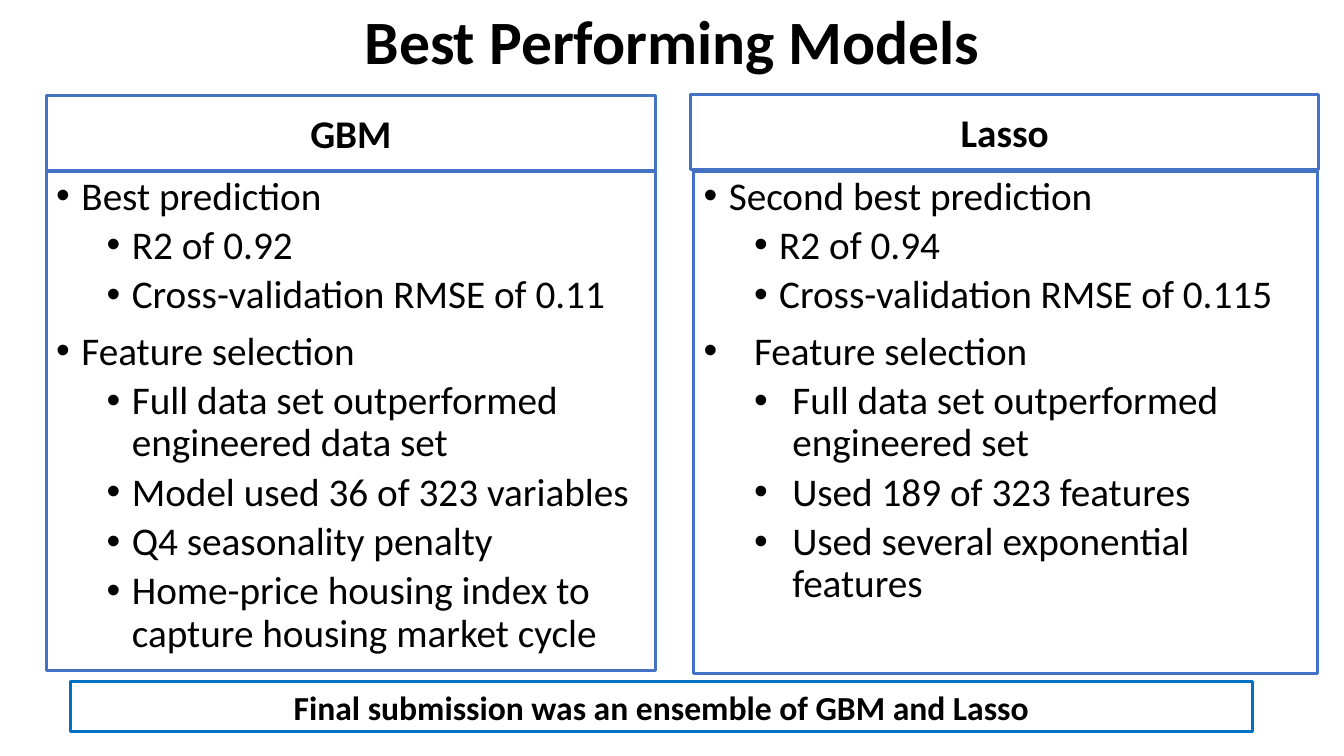
"""Build the Best Performing Models slide comparing GBM and Lasso."""
import pptx
import pptx.dml.color
import pptx.enum.shapes
import pptx.enum.text
import pptx.oxml.ns
import pptx.util
from lxml import etree

Inches, Pt = pptx.util.Inches, pptx.util.Pt
ALIGN, ANCHOR = pptx.enum.text.PP_ALIGN, pptx.enum.text.MSO_ANCHOR

THEME = {
    "font": "Calibri", "text": "000000", "panel": "4472C4", "summary": "0070C0",
    "title_size": 44, "body_size": 28, "summary_size": 24,
    "panel_line": 2, "summary_line": 2.25,
}
TITLE = ("Best Performing Models", (0.92, -0.28, 11.5, 1.45))
SUMMARY = ("Final submission was an ensemble of GBM and Lasso", (0.7, 6.76, 11.72, 0.5))
NARROW = [(0.25, 0.25), (0.75, 0.25)]
WIDE = [(0.5, 0.5), (0.88, 0.38)]
MODELS = [
    {
        "name": "GBM", "header": (0.46, 0.95, 6.04, 0.74), "body": (0.46, 1.7, 6.04, 4.95),
        "topics": [
            ("Best prediction", NARROW, ["R2 of 0.92", "Cross-validation RMSE of 0.11"]),
            ("Feature selection", NARROW, [
                "Full data set outperformed engineered data set",
                "Model used 36 of 323 variables",
                "Q4 seasonality penalty",
                "Home-price housing index to capture housing market cycle",
            ]),
        ],
    },
    {
        "name": "Lasso", "header": (6.85, 0.94, 6.23, 0.74), "body": (6.88, 1.7, 6.19, 4.98),
        "topics": [
            ("Second best prediction", NARROW, ["R2 of 0.94", "Cross-validation RMSE of 0.115"]),
            ("Feature selection", WIDE, [
                "Full data set outperformed engineered set",
                "Used 189 of 323 features",
                "Used several exponential features",
            ]),
        ],
    },
]


def apply(target, values):
    for name, value in values.items():
        setattr(target, name, value)


def color(name):
    return pptx.dml.color.RGBColor.from_string(THEME[name])


def write(paragraph, text, size, bold=False, **layout):
    run = paragraph.add_run()
    run.text = text
    apply(run.font, {"name": THEME["font"], "size": Pt(THEME[size]), "bold": bold})
    run.font.color.rgb = color("text")
    apply(paragraph, layout)


def add_frame(slide, place, style, anchor):
    frame = slide.shapes.add_shape(
        pptx.enum.shapes.MSO_SHAPE.RECTANGLE, *map(Inches, place))
    frame.shadow.inherit = False
    frame.fill.background()
    frame.line.color.rgb = color(style)
    frame.line.width = Pt(THEME[style + "_line"])
    apply(frame.text_frame, {"word_wrap": True, "vertical_anchor": anchor})
    return frame.text_frame


def add_bullet(paragraph, margin, hanging):
    properties = paragraph._p.get_or_add_pPr()
    properties.set("marL", str(Inches(margin)))
    properties.set("indent", str(-Inches(hanging)))
    for tag, name, value in (("a:buFont", "typeface", "Arial"), ("a:buChar", "char", "•")):
        etree.SubElement(properties, pptx.oxml.ns.qn(tag)).set(name, value)


def add_model(slide, model):
    header = add_frame(slide, model["header"], "panel", ANCHOR.MIDDLE)
    write(header.paragraphs[0], model["name"], "body_size", True, alignment=ALIGN.CENTER)

    body = add_frame(slide, model["body"], "panel", ANCHOR.TOP)
    lines = [(level, text, indents[level])
             for topic, indents, details in model["topics"]
             for level, text in [(0, topic)] + [(1, detail) for detail in details]]
    for number, (level, text, indent) in enumerate(lines):
        paragraph = body.add_paragraph() if number else body.paragraphs[0]
        add_bullet(paragraph, *indent)
        before = (5 if level else 10) if number else 0
        write(paragraph, text, "body_size", level=level, alignment=ALIGN.LEFT,
              line_spacing=0.9, space_before=Pt(before))


def main():
    deck = pptx.Presentation()
    apply(deck, {"slide_width": Inches(13.33), "slide_height": Inches(7.5)})
    slide = deck.slides.add_slide(deck.slide_layouts[6])

    text, place = TITLE
    title = slide.shapes.add_textbox(*map(Inches, place)).text_frame
    apply(title, {"word_wrap": True, "vertical_anchor": ANCHOR.MIDDLE})
    write(title.paragraphs[0], text, "title_size", True,
          alignment=ALIGN.CENTER, line_spacing=0.9)

    for model in MODELS:
        add_model(slide, model)

    text, place = SUMMARY
    summary = add_frame(slide, place, "summary", ANCHOR.MIDDLE)
    write(summary.paragraphs[0], text, "summary_size", True, alignment=ALIGN.CENTER)
    deck.save("out.pptx")


if __name__ == "__main__":
    main()
